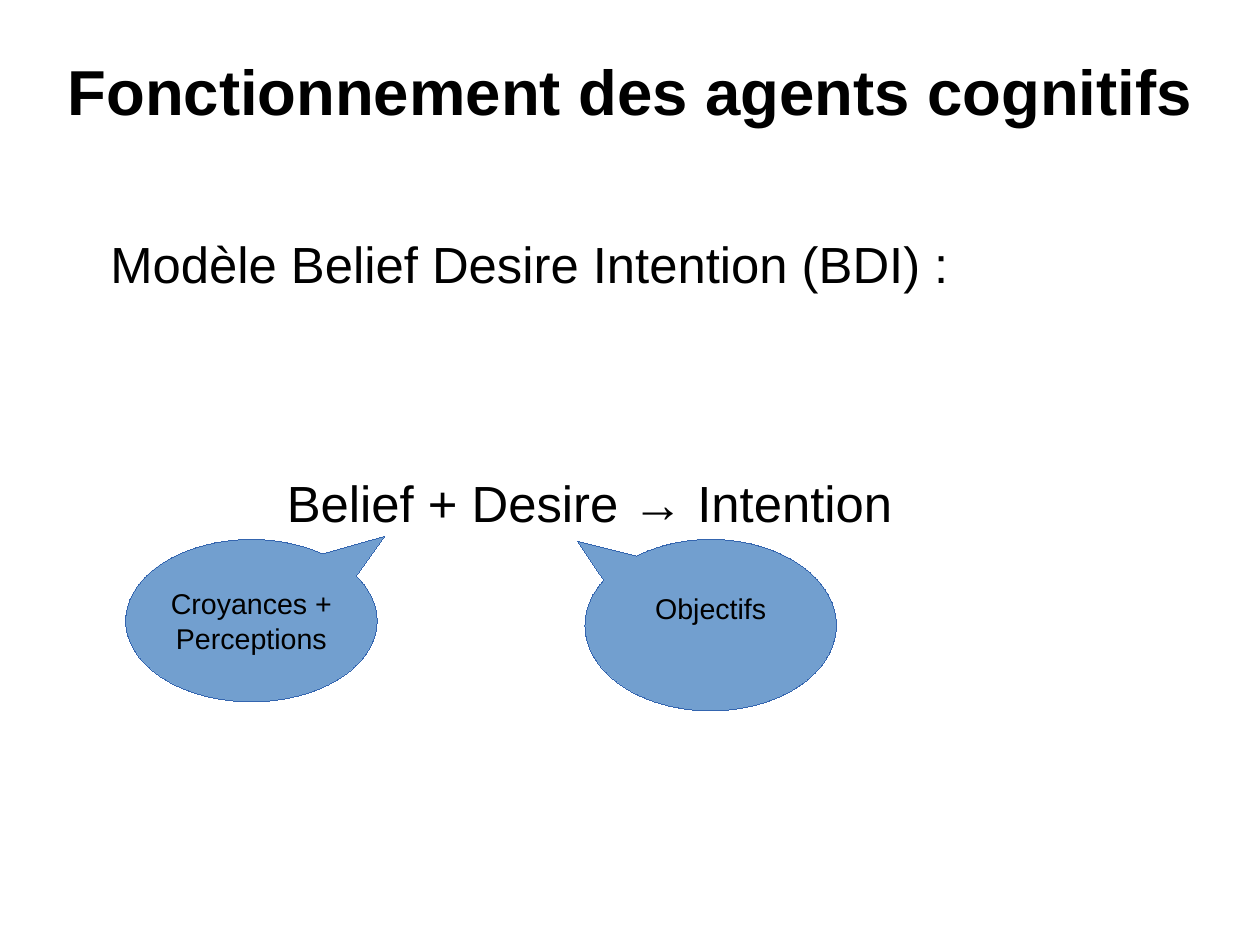
"""Build a slide on how cognitive agents work under the BDI model."""
import pptx
import pptx.dml.color
import pptx.enum.shapes
import pptx.enum.text
import pptx.util

Pt = pptx.util.Pt
ALIGN = pptx.enum.text.PP_ALIGN
ANCHOR = pptx.enum.text.MSO_ANCHOR


def color(hex_string):
    """Return the colour for a hex string."""
    return pptx.dml.color.RGBColor.from_string(hex_string)


def write(shape, text, size, alignment, anchor, margins, bold=False, wrap=True):
    """Fill a shape with black Arial text, one paragraph per line."""
    frame = shape.text_frame
    frame.text = text
    frame.word_wrap = wrap
    frame.vertical_anchor = anchor
    frame.margin_left, frame.margin_top, frame.margin_right, frame.margin_bottom = map(Pt, margins)
    for paragraph in frame.paragraphs:
        paragraph.alignment = alignment
        for run in paragraph.runs:
            run.font.name = "Arial"
            run.font.size = Pt(size)
            run.font.bold = bold
            run.font.color.rgb = color("000000")


presentation = pptx.Presentation()
presentation.slide_width = Pt(793.7)
presentation.slide_height = Pt(595.28)
slide = presentation.slides.add_slide(presentation.slide_layouts[6])

no_margins = (0, 0, 0, 0)
text_margins = (7.2, 3.6, 7.2, 3.6)

title = slide.shapes.add_textbox(Pt(39.6), Pt(22.7), Pt(714.24), Pt(67.68))
write(title, "Fonctionnement des agents cognitifs", 40, ALIGN.CENTER, ANCHOR.MIDDLE, no_margins, bold=True)

formula = slide.shapes.add_textbox(Pt(39.6), Pt(143.6), Pt(664.2), Pt(344.88))
write(formula, "Belief + Desire → Intention", 32, ALIGN.CENTER, ANCHOR.MIDDLE, no_margins)

callouts = [
    ("Croyances +\nPerceptions", 79.2, 102.24, (0.53, -0.52), text_margins),
    ("Objectifs", 368.5, 108, (-0.53, -0.49), (7.2, 3.6, 7.2, 24.8)),
]
for text, left, height, tip, margins in callouts:
    callout = slide.shapes.add_shape(
        pptx.enum.shapes.MSO_SHAPE.OVAL_CALLOUT, Pt(left), Pt(339.84), Pt(158.4), Pt(height))
    callout.adjustments[0], callout.adjustments[1] = tip
    callout.shadow.inherit = False
    callout.fill.solid()
    callout.fill.fore_color.rgb = color("729FCF")
    callout.line.color.rgb = color("3465AF")
    callout.element.xpath("./p:spPr/a:ln")[0].set("w", "0")
    write(callout, text, 18, ALIGN.CENTER, ANCHOR.MIDDLE, margins, wrap=False)

model = slide.shapes.add_textbox(Pt(62.4), Pt(143.28), Pt(663.12), Pt(43.2))
write(model, "Modèle Belief Desire Intention (BDI) :", 32, ALIGN.LEFT, ANCHOR.TOP, text_margins)

presentation.save("out.pptx")
